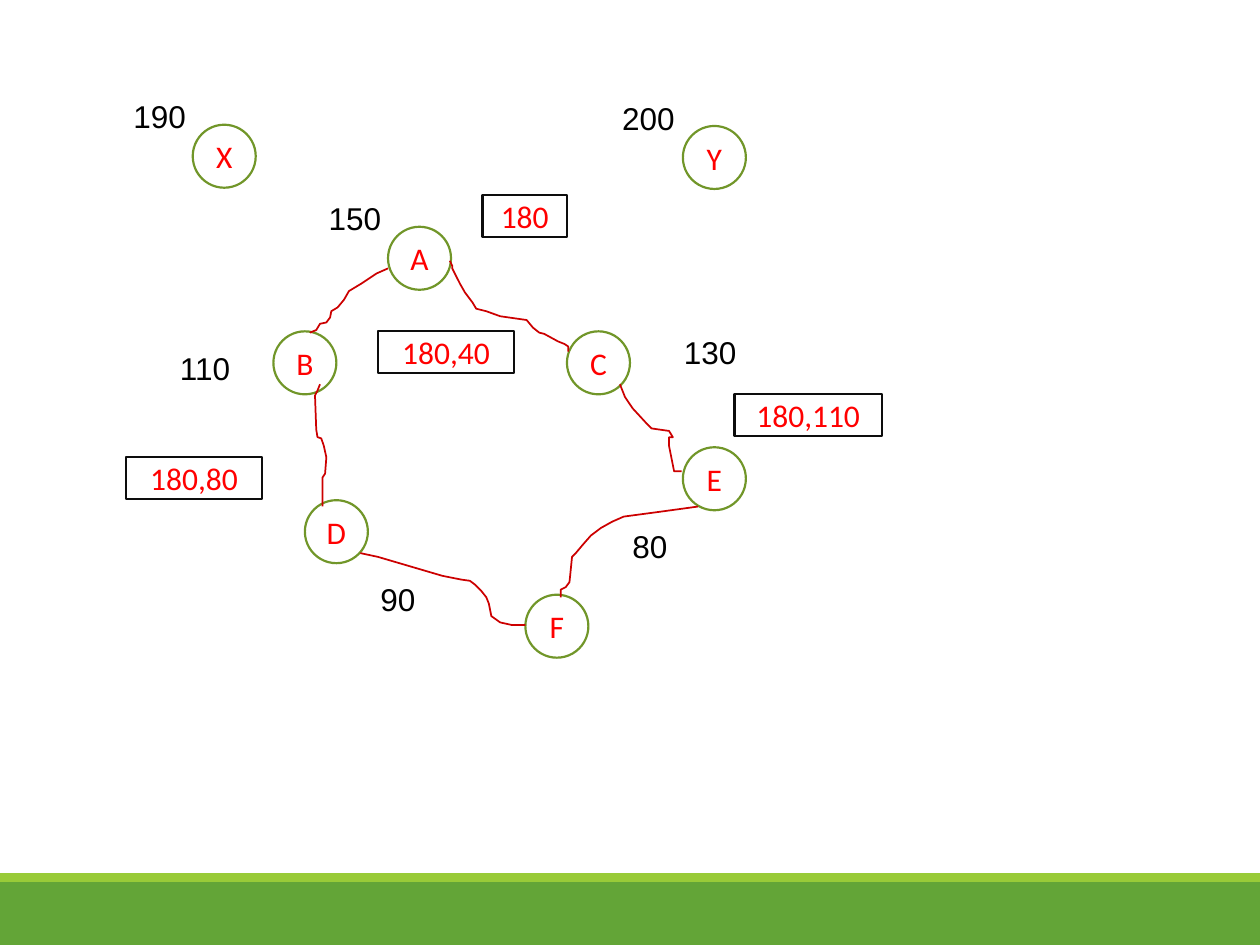
from pptx import Presentation
from pptx.dml.color import RGBColor
from pptx.enum.shapes import MSO_SHAPE
from pptx.enum.text import MSO_ANCHOR, MSO_AUTO_SIZE, PP_ALIGN
from pptx.util import Inches, Pt

RECT, OVAL = MSO_SHAPE.RECTANGLE, MSO_SHAPE.OVAL
MIDDLE, CENTER = MSO_ANCHOR.MIDDLE, PP_ALIGN.CENTER
FIT_SHAPE = MSO_AUTO_SIZE.SHAPE_TO_FIT_TEXT

GREEN, LIME, OLIVE = "63A537", "99CB38", "719629"
RED, DARK_RED, BLACK, NEAR_BLACK = "FF0000", "CC0000", "000000", "0D0D0D"
NODE_SIZE = 0.5
LABEL_W, LABEL_H = 0.83, 0.42
BOX_H = 0.33

# Content: left, top (and width) in inches
bars = [(7, 0.5, GREEN), (6.93, 0.07, LIME)]
nodes = [
    ("B", 2.17, 2.63), ("D", 2.42, 3.97), ("A", 3.08, 1.8), ("C", 4.5, 2.63),
    ("E", 5.42, 3.55), ("F", 4.17, 4.72), ("Y", 5.42, 1), ("X", 1.53, 0.99),
]
node_values = [
    ("80", 4.92, 4.13), ("130", 5.33, 2.59), ("150", 2.51, 1.53),
    ("90", 2.92, 4.55), ("110", 1.33, 2.72), ("200", 4.84, 0.74),
    ("190", 0.96, 0.72),
]
boxes = [
    ("180", 3.83, 1.55, 0.67), ("180,40", 3, 2.63, 1.08),
    ("180,80", 1, 3.63, 1.08), ("180,110", 5.83, 3.13, 1.17),
]
# Hand-drawn links: A-B, B-D, A-C, D-F, C-E, E-F
links = [
    [(3.08, 2.13), (2.99, 2.17), (2.87, 2.25), (2.77, 2.31), (2.73, 2.38),
     (2.68, 2.44), (2.63, 2.47), (2.62, 2.52), (2.59, 2.56), (2.54, 2.57),
     (2.51, 2.62), (2.46, 2.64)],
    [(2.54, 3.05), (2.52, 3.1), (2.5, 3.14), (2.51, 3.41), (2.52, 3.47),
     (2.55, 3.48), (2.57, 3.54), (2.59, 3.63), (2.58, 3.76), (2.56, 3.79),
     (2.56, 4.02)],
    [(3.57, 2.07), (3.59, 2.11), (3.59, 2.13), (3.65, 2.25), (3.69, 2.32),
     (3.75, 2.4), (3.78, 2.45), (3.86, 2.47), (3.97, 2.51), (4.11, 2.53),
     (4.18, 2.54), (4.23, 2.6), (4.28, 2.64), (4.32, 2.65), (4.43, 2.71),
     (4.48, 2.73), (4.51, 2.75), (4.51, 2.79)],
    [(2.86, 4.39), (3, 4.42), (3.51, 4.57), (3.66, 4.6), (3.73, 4.61),
     (3.77, 4.64), (3.82, 4.69), (3.86, 4.74), (3.88, 4.79), (3.9, 4.89),
     (3.97, 4.94), (4.06, 4.96), (4.17, 4.96)],
    [(4.92, 3.05), (4.96, 3.15), (5.02, 3.24), (5.14, 3.37), (5.17, 3.4),
     (5.31, 3.42), (5.34, 3.47), (5.31, 3.47), (5.31, 3.54), (5.35, 3.74),
     (5.41, 3.74)],
    [(5.54, 4.02), (5.25, 4.06), (4.95, 4.1), (4.86, 4.14), (4.77, 4.19),
     (4.69, 4.25), (4.62, 4.33), (4.57, 4.39), (4.54, 4.42), (4.53, 4.52),
     (4.52, 4.62), (4.49, 4.66), (4.45, 4.68), (4.45, 4.74)],
]


def rgb(color):
    return RGBColor.from_string(color)


def write(shape, text, font, color):
    tf = shape.text_frame
    tf.text = text
    tf.word_wrap = True
    f = tf.paragraphs[0].runs[0].font
    f.name, f.size, f.color.rgb = font, Pt(18), rgb(color)
    return tf


def outline(shape, color, width):
    shape.shadow.inherit = False
    shape.fill.background()
    shape.line.color.rgb = rgb(color)
    shape.line.width = Pt(width)


def add_outlined(kind, text, x, y, w, h, color):
    sp = s.shapes.add_shape(kind, Inches(x), Inches(y), Inches(w), Inches(h))
    outline(sp, color, 1.25)
    tf = write(sp, text, "Calibri", RED)
    tf.vertical_anchor = MIDDLE
    tf.paragraphs[0].alignment = CENTER


prs = Presentation()
prs.slide_width, prs.slide_height = Inches(10), Inches(7.5)
s = prs.slides.add_slide(prs.slide_layouts[6])

# Footer bars
for top, height, color in bars:
    sp = s.shapes.add_shape(RECT, 0, Inches(top), prs.slide_width, Inches(height))
    sp.shadow.inherit = False
    sp.fill.solid()
    sp.fill.fore_color.rgb = rgb(color)
    sp.line.fill.background()

# Nodes
for text, x, y in nodes:
    add_outlined(OVAL, text, x, y, NODE_SIZE, NODE_SIZE, OLIVE)

# Links
for points in links:
    start, *rest = [(Inches(x), Inches(y)) for x, y in points]
    builder = s.shapes.build_freeform(*start)
    builder.add_line_segments(rest, close=False)
    outline(builder.convert_to_shape(), DARK_RED, 1)

# Values beside the nodes
for text, x, y in node_values:
    sp = s.shapes.add_textbox(Inches(x), Inches(y), Inches(LABEL_W), Inches(LABEL_H))
    write(sp, text, "Arial", BLACK).auto_size = FIT_SHAPE

# Boxed values
for text, x, y, w in boxes:
    add_outlined(RECT, text, x, y, w, BOX_H, NEAR_BLACK)

prs.save("out.pptx")
